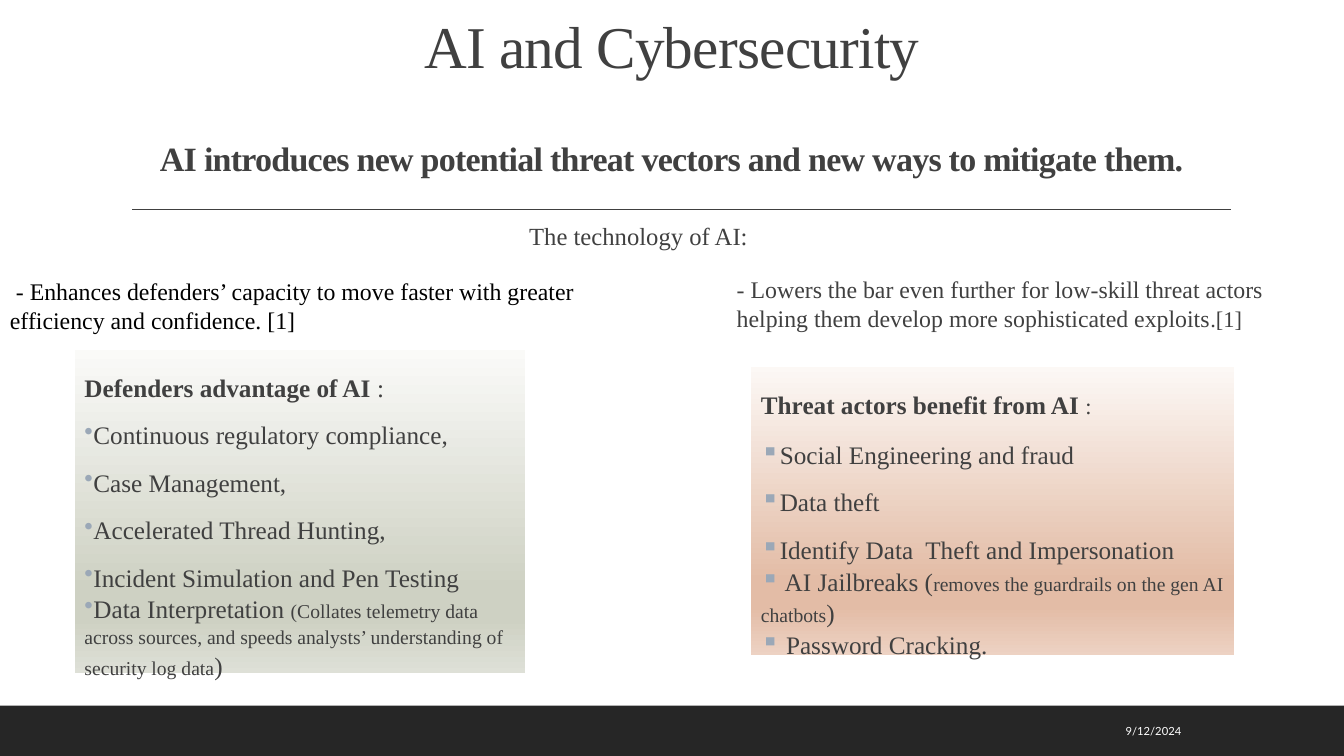
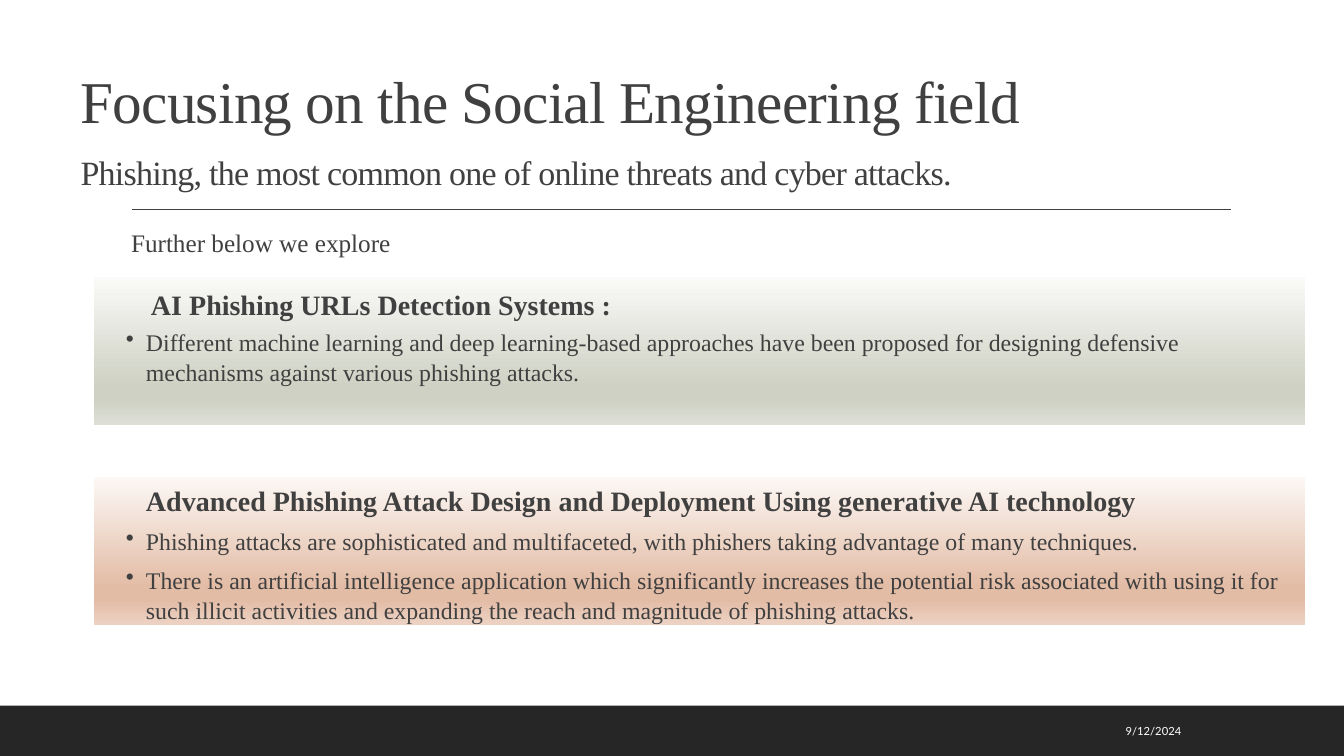
"""Build two slides on AI in cybersecurity and phishing."""
from copy import deepcopy

from lxml import etree
from pptx import Presentation
from pptx import util as u
from pptx.dml.color import RGBColor
from pptx.enum import shapes, text
from pptx.oxml.ns import qn

INK = RGBColor(0x40, 0x40, 0x40)
BLACK = RGBColor(0, 0, 0)
WHITE = RGBColor(0xFF, 0xFF, 0xFF)
BAND = RGBColor(0x26, 0x26, 0x26)
BULLET = RGBColor(0x9B, 0xA8, 0xB7)
SAGE = [RGBColor(0xFA, 0xFA, 0xF8), RGBColor(0xCE, 0xD1, 0xC3),
        RGBColor(0xCE, 0xD1, 0xC3), RGBColor(0xDE, 0xE0, 0xD7)]
CLAY = [RGBColor(0xFC, 0xF8, 0xF5), RGBColor(0xE3, 0xBC, 0xA6),
        RGBColor(0xE3, 0xBC, 0xA6), RGBColor(0xED, 0xD2, 0xC3)]
STOPS = [0, 0.74, 0.83, 1]
SERIF, SANS = "Times New Roman", "Lato"
CENTER, RIGHT, JUSTIFY = (text.PP_ALIGN.CENTER, text.PP_ALIGN.RIGHT,
                          text.PP_ALIGN.JUSTIFY)

presentation = Presentation()
presentation.slide_width = u.Inches(40 / 3)
presentation.slide_height = u.Inches(7.5)
COLUMN = presentation.slide_width / 100
ROW = presentation.slide_height / 100


def place(left, top, width, height):
    """Turn percentages of the slide into lengths."""
    return [u.Emu(round(share * unit)) for share, unit in
            zip((left, top, width, height), (COLUMN, ROW, COLUMN, ROW))]


def write(frame, paragraphs):
    """Fill a text frame with (style, runs) paragraphs."""
    frame.word_wrap = True
    for index, (style, runs) in enumerate(paragraphs):
        paragraph = frame.add_paragraph() if index else frame.paragraphs[0]
        layout = {"alignment": text.PP_ALIGN.LEFT, "line_spacing": 1.0,
                  "space_before": u.Pt(0), "space_after": u.Pt(0)}
        for name, value in (layout | style.get("layout", {})).items():
            setattr(paragraph, name, value)
        properties = paragraph._p.get_or_add_pPr()
        for name, inches in style.get("indent", {}).items():
            properties.set(name, str(u.Inches(inches)))
        if "bullet" in style:
            color = etree.SubElement(properties, qn("a:buClr"))
            etree.SubElement(color, qn("a:srgbClr"), val=str(style["marker"]))
            etree.SubElement(properties, qn("a:buChar"), char=style["bullet"])
        for words, font in runs:
            run = paragraph.add_run()
            run.text = words
            look = {"name": SERIF, "bold": False, "size": u.Pt(18)} | font
            run.font.color.rgb = look.pop("color", INK)
            tracking = look.pop("tracking", 0)
            if tracking:
                run.font._element.set("spc", str(tracking))
            for name, value in look.items():
                setattr(run.font, name, value)


TITLE = {"size": u.Pt(42.3), "tracking": -50}
SUBTITLE = {"size": u.Pt(24.3), "tracking": -50}
BOLD = {"bold": True}
HEADING = {"bold": True, "size": u.Pt(20)}
BODY = {"size": u.Pt(17)}
SMALL = {"size": u.Pt(14)}
LEFTWARD = {}
CENTERED = {"layout": {"alignment": CENTER}}

LOOSE, TIGHT = 1.57, 1.05
HANGING = {"marL": 0, "indent": -0.1}
DOT = {"layout": {"line_spacing": LOOSE}, "indent": HANGING,
       "bullet": "•", "marker": BULLET}
SQUARE = {"layout": {"line_spacing": LOOSE, "alignment": JUSTIFY},
          "indent": HANGING, "bullet": "▪", "marker": BULLET}
DOT_TIGHT = DOT | {"layout": {"line_spacing": TIGHT}}
SQUARE_TIGHT = SQUARE | {"layout": {"line_spacing": TIGHT, "alignment": JUSTIFY}}
POINT = {"layout": {"line_spacing": TIGHT, "space_before": u.Pt(2),
                    "space_after": u.Pt(4)},
         "indent": {"marL": 0.42, "indent": -0.2}, "bullet": "•", "marker": INK}

defenders = [
    ({"layout": {"line_spacing": LOOSE}},
     [("Defenders advantage of AI ", BOLD), (":", {})]),
    *[(DOT, [(words, {})]) for words in (
        "Continuous regulatory compliance,", "Case Management,",
        "Accelerated Thread Hunting,", "Incident Simulation and Pen Testing")],
    (DOT_TIGHT, [
        ("Data Interpretation ", {}),
        ("(Collates telemetry data across sources, and speeds analysts’ "
         "understanding of security log data", SMALL), (")", {})]),
]
attackers = [
    ({"layout": {"line_spacing": LOOSE, "space_after": u.Pt(2)}},
     [("Threat actors benefit from AI ", BOLD), (":", {"size": u.Pt(16)})]),
    *[(SQUARE, [(words, {})]) for words in (
        "Social Engineering and fraud", "Data theft",
        "Identify Data  Theft and Impersonation")],
    (SQUARE_TIGHT, [
        (" AI Jailbreaks (", {}),
        ("removes the guardrails on the gen AI chatbots", SMALL), (")", {})]),
    (SQUARE_TIGHT, [(" Password Cracking.", {})]),
]
detection = [
    ({"layout": {"line_spacing": 1.15, "space_after": u.Pt(2)},
      "indent": {"marL": 0.47}},
     [("AI Phishing URLs Detection Systems :", HEADING)]),
    (POINT, [("Different machine learning and deep learning-based approaches "
              "have been proposed for designing defensive mechanisms against "
              "various phishing attacks.", BODY)]),
]
deployment = [
    ({"layout": {"line_spacing": TIGHT, "space_after": u.Pt(4)},
      "indent": {"marL": 0.42}},
     [("Advanced Phishing Attack Design and Deployment Using generative AI "
       "technology", HEADING)]),
    *[(POINT, [(words, BODY)]) for words in (
        "Phishing attacks are sophisticated and multifaceted, with phishers "
        "taking advantage of many techniques.",
        "There is an artificial intelligence application which significantly "
        "increases the potential risk associated with using it for such illicit "
        "activities and expanding the reach and magnitude of phishing attacks.")],
]
enhances = [(LEFTWARD, [
    (" - Enhances defenders’ capacity to move faster with greater efficiency "
     "and confidence. [1]", BODY | {"color": BLACK})])]
lowers = [(LEFTWARD, [
    ("- Lowers the bar even further for low-skill threat actors helping them "
     "develop more sophisticated exploits", BODY),
    (".[1]", {"size": u.Pt(16)})])]

slides = [
    {"lines": [
        ((3.15, 1.2, 93.68, 9), CENTERED, "AI and Cybersecurity", TITLE),
        ((3.15, 18.13, 93.68, 5.33), CENTERED,
         "AI introduces new potential threat vectors and new ways to mitigate "
         "them.", SUBTITLE | BOLD),
        ((1.65, 29.2, 91.72, 4), CENTERED, "The technology of AI:",
         {"size": u.Pt(17.6)})],
     "panels": [((55.88, 48.53, 35.92, 38.13), CLAY, attackers),
                ((5.55, 46.27, 33.52, 42.8), SAGE, defenders)],
     "statements": [((0, 36, 48.9, 8.93), enhances),
                    ((54.08, 35.73, 41.48, 8.93), lowers)]},
    {"lines": [
        ((6, 8.53, 87, 9), LEFTWARD,
         "Focusing on the Social Engineering field", TITLE),
        ((6, 20, 87, 5.33), LEFTWARD,
         "Phishing, the most common one of online threats and cyber attacks.",
         SUBTITLE),
        ((9.75, 30.13, 82, 4), LEFTWARD, "Further below we explore", {})],
     "panels": [((6.97, 36.67, 90.15, 19.6), SAGE, detection),
                ((6.97, 63.07, 90.15, 19.6), CLAY, deployment)],
     "statements": []},
]

for content in slides:
    slide = presentation.slides.add_slide(presentation.slide_layouts[6])

    band = slide.shapes.add_shape(shapes.MSO_SHAPE.RECTANGLE,
                                  *place(0, 93.33, 100, 6.67))
    band.shadow.inherit = False
    band.fill.solid()
    band.fill.fore_color.rgb = BAND
    band.line.fill.background()

    rule = slide.shapes.add_connector(
        shapes.MSO_CONNECTOR.STRAIGHT, round(9.83 * COLUMN), round(27.73 * ROW),
        round(91.58 * COLUMN), round(27.73 * ROW))
    rule.line.color.rgb = INK
    rule.line.width = u.Pt(1)
    etree.SubElement(rule._element.spPr, qn("a:effectLst"))

    date = slide.shapes.add_textbox(*place(67.42, 94, 21.22, 5.33)).text_frame
    date.vertical_anchor = text.MSO_ANCHOR.MIDDLE
    write(date, [({"layout": {"alignment": RIGHT}},
                  [("9/12/2024", {"name": SANS, "size": u.Pt(8),
                                  "color": WHITE})])])

    for bounds, style, words, font in content["lines"]:
        frame = slide.shapes.add_textbox(*place(*bounds)).text_frame
        for side in ("left", "top", "right", "bottom"):
            setattr(frame, f"margin_{side}", 0)
        write(frame, [(style, [(words, font)])])

    for bounds, colors, paragraphs in content["panels"]:
        panel = slide.shapes.add_shape(shapes.MSO_SHAPE.RECTANGLE, *place(*bounds))
        panel.shadow.inherit = False
        panel.line.fill.background()
        panel.fill.gradient()
        panel.fill.gradient_angle = 270
        stop_list = panel._element.spPr.find(".//" + qn("a:gsLst"))
        for extra in list(stop_list):
            stop_list.append(deepcopy(extra))
        for stop, position, color in zip(panel.fill.gradient_stops, STOPS, colors):
            stop.position = position
            stop.color.rgb = color
        panel.text_frame.vertical_anchor = text.MSO_ANCHOR.TOP
        write(panel.text_frame, paragraphs)

    for bounds, paragraphs in content["statements"]:
        write(slide.shapes.add_textbox(*place(*bounds)).text_frame, paragraphs)

presentation.save("out.pptx")
